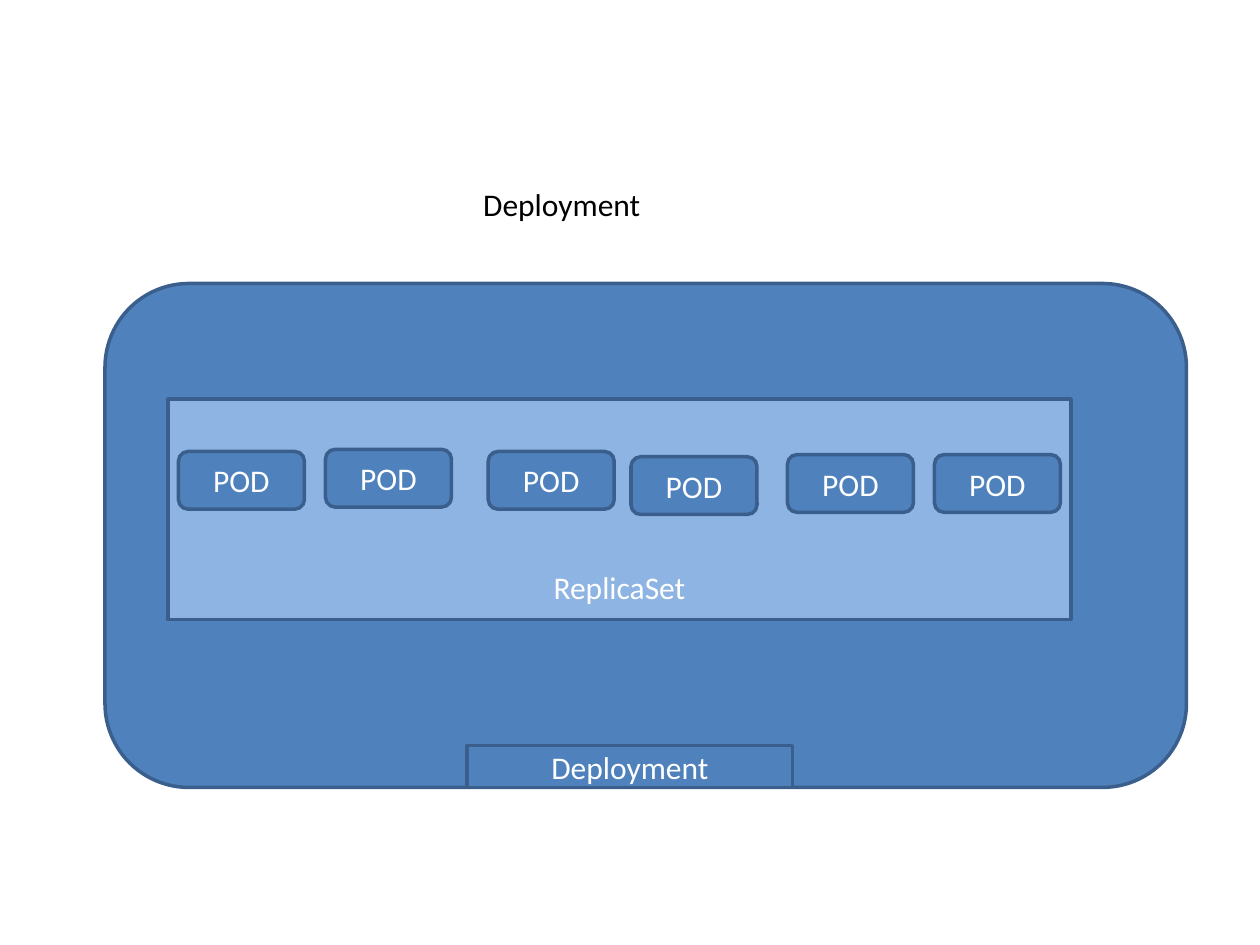
from pptx import Presentation
from pptx.dml.color import RGBColor
from pptx.enum.shapes import MSO_SHAPE
from pptx.enum.text import MSO_ANCHOR, MSO_AUTO_SIZE, PP_ALIGN
from pptx.util import Inches, Pt

BLUE = RGBColor(0x4F, 0x81, 0xBD)
LIGHT_BLUE = RGBColor(0x8E, 0xB4, 0xE3)
OUTLINE = RGBColor(0x3A, 0x5F, 0x8C)
WHITE = RGBColor(0xFF, 0xFF, 0xFF)
BLACK = RGBColor(0x00, 0x00, 0x00)

CELLS_PER_INCH = 12
POD_SIZE = (12, 5.5)
POD_CORNERS = [(17, 43), (31, 42.8), (46.5, 43), (60.1, 43.5), (75, 43.3), (89, 43.3)]


def write_text(box, text, color=WHITE, size=18, font="Calibri",
               anchor=MSO_ANCHOR.MIDDLE, bottom=0.05):
    frame = box.text_frame
    frame.word_wrap = True
    frame.auto_size = MSO_AUTO_SIZE.NONE
    frame.vertical_anchor = anchor
    frame.margin_bottom = Inches(bottom)
    para = frame.paragraphs[0]
    para.alignment = PP_ALIGN.CENTER
    span = para.add_run()
    span.text = text
    span.font.name = font
    span.font.size = Pt(size)
    span.font.color.rgb = color


class DiagramPage:
    def __init__(self, deck):
        self.page = deck.slides.add_slide(deck.slide_layouts[5])
        self.outline = OUTLINE
        self.line_width = Pt(2)

    def place(self, *cells):
        return [Inches(cell / CELLS_PER_INCH) for cell in cells]

    def title(self, text, column, row, columns, rows):
        box = self.page.shapes.title
        box.left, box.top, box.width, box.height = self.place(column, row, columns, rows)
        write_text(box, text, color=BLACK, anchor=MSO_ANCHOR.TOP)

    def block(self, column, row, columns, rows, text="", fill=BLUE,
              shape=MSO_SHAPE.RECTANGLE, **text_format):
        box = self.page.shapes.add_shape(shape, *self.place(column, row, columns, rows))
        box.shadow.inherit = False
        box.fill.solid()
        box.fill.fore_color.rgb = fill
        box.line.color.rgb = self.outline
        box.line.width = self.line_width
        if text:
            write_text(box, text, **text_format)

    def rounded_block(self, *cells, **options):
        self.block(*cells, shape=MSO_SHAPE.ROUNDED_RECTANGLE, **options)


def main():
    deck = Presentation()
    deck.slide_width, deck.slide_height = Inches(10), Inches(7.5)
    diagram = DiagramPage(deck)
    diagram.title("Deployment", 37, 17, 33, 4.8)
    diagram.rounded_block(10, 27, 103, 48)
    diagram.block(44.5, 71, 31, 4, text="Deployment")
    diagram.block(16, 38, 86, 21, text="ReplicaSet", fill=LIGHT_BLUE,
                  anchor=MSO_ANCHOR.BOTTOM, bottom=0.11)
    for corner in POD_CORNERS:
        diagram.rounded_block(*corner, *POD_SIZE, text="POD")
    deck.save("out.pptx")


if __name__ == "__main__":
    main()
